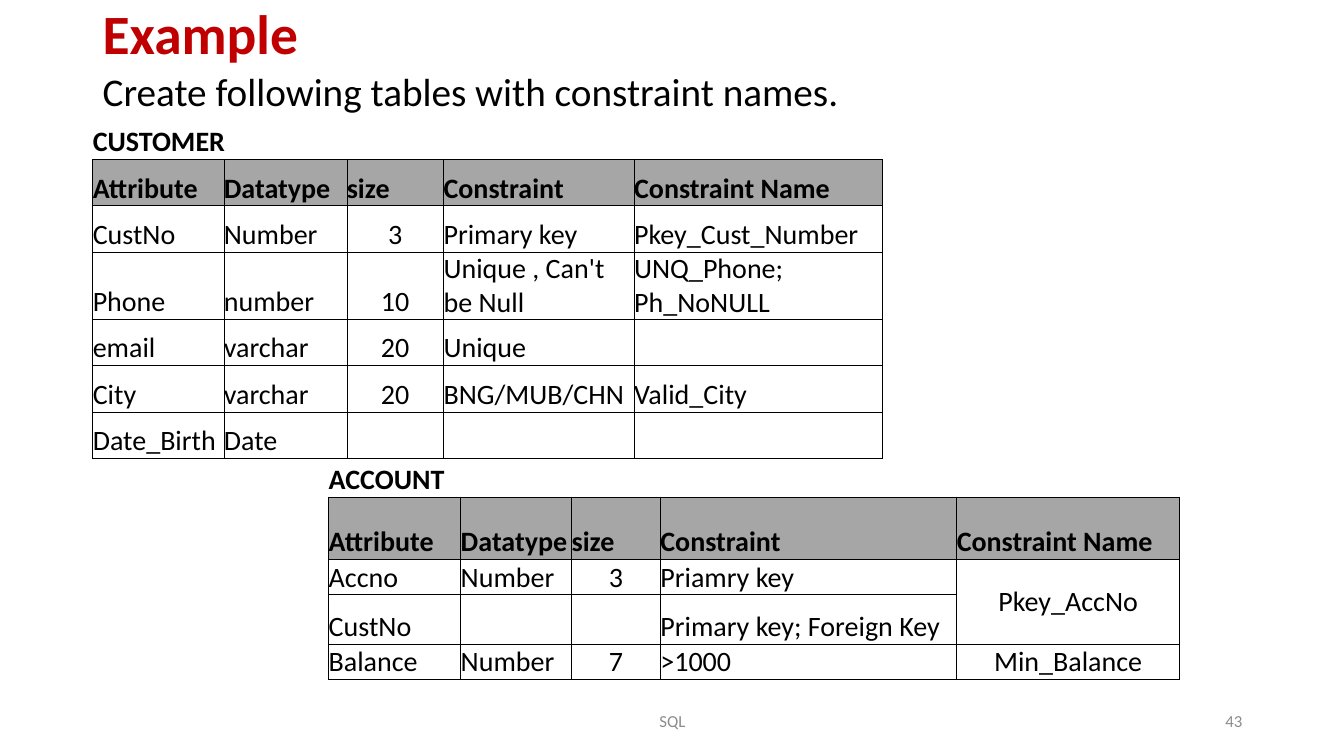
from lxml.etree import SubElement
from pptx import Presentation
from pptx.dml.color import RGBColor
from pptx.enum.text import MSO_ANCHOR, PP_ALIGN
from pptx.oxml.ns import qn
from pptx.util import Emu, Pt

SCALE = 9144  # EMU per px, 100 px to the inch
BLACK, RED, GREY, HEADER_FILL = "000000", "C00000", "8C8C8C", "A6A6A6"
PLAIN_STYLE = "{2D5ABB26-0587-4C30-8999-92F81FD0307C}"
HEADINGS = ["Attribute", "Datatype", "size", "Constraint", "Constraint Name"]
SIZE_COLUMN = HEADINGS.index("size")

CUSTOMER = [
    ["CustNo", "Number", "3", "Primary key", "Pkey_Cust_Number"],
    ["Phone", "number", "10", "Unique , Can't be Null", "UNQ_Phone; Ph_NoNULL"],
    ["email", "varchar", "20", "Unique", ""],
    ["City", "varchar", "20", "BNG/MUB/CHN", "Valid_City"],
    ["Date_Birth", "Date", "", "", ""],
]
ACCOUNT = [
    ["Accno", "Number", "3", "Priamry key", "Pkey_AccNo"],
    ["CustNo", "", "", "Primary key; Foreign Key", ""],
    ["Balance", "Number", "7", ">1000", "Min_Balance"],
]


def px(length):
    return Emu(length * SCALE)


def color(value):
    return RGBColor.from_string(value)


def set_all(target, values):
    for name, value in values.items():
        setattr(target, name, value)


def write(frame, text, size, ink=BLACK, bold=False, align=PP_ALIGN.LEFT, spacing=None):
    para = frame.paragraphs[0]
    set_all(para, {"alignment": align, "line_spacing": spacing})
    span = para.add_run()
    span.text = text
    set_all(span.font, {"name": "Calibri", "size": Pt(size), "bold": bold})
    span.font.color.rgb = color(ink)


def add_text(page, place, text, size, anchor=MSO_ANCHOR.MIDDLE, wrap=True, **style):
    box = page.shapes.add_textbox(*map(px, place))
    set_all(box.text_frame, {"word_wrap": wrap, "vertical_anchor": anchor})
    write(box.text_frame, text, size, **style)


def add_borders(cell, sides):
    properties = cell._tc.get_or_add_tcPr()
    for side in sides:
        line = SubElement(properties, qn(f"a:ln{side}"), w=str(Pt(0.5)))
        fill = SubElement(line, qn("a:solidFill"))
        SubElement(fill, qn("a:srgbClr"), val=BLACK)


def add_schema(page, corner, caption, records, widths, heights, centred_names=False):
    """Draw a caption row, a heading row and one row per attribute."""
    rows = [[caption] + [""] * (len(HEADINGS) - 1), HEADINGS] + records
    place = (*corner, sum(widths), sum(heights))
    frame = page.shapes.add_table(len(rows), len(HEADINGS), *map(px, place))
    table = frame.table
    set_all(table, {"first_row": False, "horz_banding": False})
    next(frame.element.iter(qn("a:tableStyleId"))).text = PLAIN_STYLE
    for column, width in zip(table.columns, widths):
        column.width = px(width)
    for row, height in zip(table.rows, heights):
        row.height = px(height)

    for r, texts in enumerate(rows):
        for c, text in enumerate(texts):
            cell = table.cell(r, c)
            set_all(cell, {"margin_left": 0, "margin_right": 0, "margin_top": 0,
                           "margin_bottom": 0, "vertical_anchor": MSO_ANCHOR.BOTTOM})
            add_borders(cell, "B" if r == 0 else "LRTB")
            if r == 1:
                cell.fill.solid()
                cell.fill.fore_color.rgb = color(HEADER_FILL)
            else:
                cell.fill.background()
            centred = r > 1 and (c == SIZE_COLUMN or centred_names and c == len(texts) - 1)
            if text:
                write(cell.text_frame, text, 20, bold=r < 2,
                      align=PP_ALIGN.CENTER if centred else PP_ALIGN.LEFT)
    table.cell(0, 0).merge(table.cell(0, 1))
    return table


def main():
    deck = Presentation()
    set_all(deck, {"slide_width": px(1333), "slide_height": px(750)})
    page = deck.slides.add_slide(deck.slide_layouts[6])

    # Title and task
    add_text(page, (92, 11, 1150, 50), "Example", 39.6, ink=RED, bold=True, spacing=0.9)
    add_text(page, (92, 62, 758, 57), "Create following tables with constraint names.", 28,
             anchor=MSO_ANCHOR.TOP, wrap=False, align=PP_ALIGN.JUSTIFY)

    # Table definitions
    add_schema(page, (92, 112), "CUSTOMER", CUSTOMER, [130, 122, 96, 189, 246], [46] * 7)
    account = add_schema(page, (326, 458), "ACCOUNT", ACCOUNT, [131, 110, 88, 294, 221],
                         [35, 62, 35, 49, 35], centred_names=True)
    key_name = account.cell(2, 4)
    key_name.merge(account.cell(3, 4))
    key_name.vertical_anchor = MSO_ANCHOR.MIDDLE

    # Footer
    add_text(page, (442, 695, 450, 40), "SQL", 12, ink=GREY, align=PP_ALIGN.CENTER)
    add_text(page, (942, 695, 300, 40), "43", 12, ink=GREY, align=PP_ALIGN.RIGHT)

    deck.save("out.pptx")


if __name__ == "__main__":
    main()
